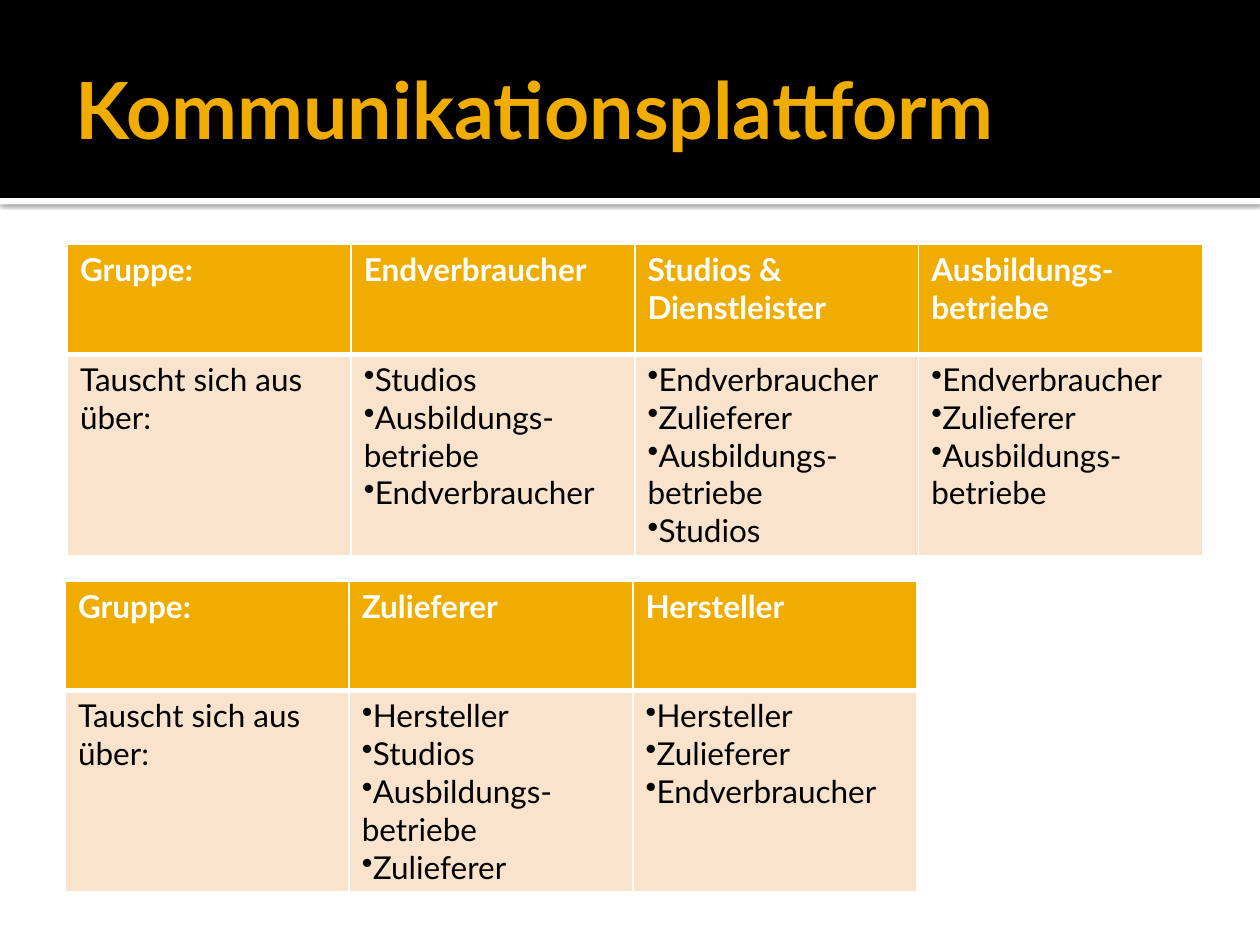
from dataclasses import dataclass

from lxml.etree import SubElement
from pptx import Presentation
from pptx.dml.color import RGBColor as Rgb
from pptx.enum.shapes import MSO_SHAPE as Shape
from pptx.enum.text import MSO_ANCHOR as Anchor
from pptx.oxml import parse_xml
from pptx.oxml.ns import nsdecls, qn
from pptx.util import Cm, Pt

TITLE = "Kommunikationsplattform"
LABEL = ("Gruppe:", "Tauscht sich aus über:")
TRAINING = "Ausbildungs-betriebe"

# Each table: left and top in cm, then its groups with their exchange partners.
TABLES = [
    (1.36, 4.93, [
        ("Endverbraucher", ["Studios", TRAINING, "Endverbraucher"]),
        ("Studios & Dienstleister",
         ["Endverbraucher", "Zulieferer", TRAINING, "Studios"]),
        (TRAINING, ["Endverbraucher", "Zulieferer", TRAINING]),
    ]),
    (1.32, 11.71, [
        ("Zulieferer", ["Hersteller", "Studios", TRAINING, "Zulieferer"]),
        ("Hersteller", ["Hersteller", "Zulieferer", "Endverbraucher"]),
    ]),
]

PAGE_WIDTH, PAGE_HEIGHT = 25.4, 19.05
BANNER_HEIGHT, STRIPE_HEIGHT = 3.99, 0.13
COLUMN_WIDTH = 5.72
ROW_HEIGHTS = (2.21, 4.06)


@dataclass(frozen=True)
class Theme:
    font: str = "Lato"
    accent: str = "F0AD00"
    tint: str = "F9E3CC"
    dark: str = "000000"
    light: str = "FFFFFF"
    title_size: int = 45
    cell_size: int = 18
    thin: int = 1
    thick: int = 3


THEME = Theme()


def write(frame, lines, size, color, bold=False, bullet=None):
    for index, line in enumerate(lines):
        para = frame.paragraphs[0] if index == 0 else frame.add_paragraph()
        if bullet:
            SubElement(para._p.get_or_add_pPr(), qn("a:buChar"), char=bullet)
        span = para.add_run()
        span.text = line
        span.font.name = THEME.font
        span.font.size = Pt(size)
        span.font.bold = bold
        span.font.color.rgb = Rgb.from_string(color)


def add_band(page, top, height, color):
    band = page.shapes.add_shape(
        Shape.RECTANGLE, 0, Cm(top), Cm(PAGE_WIDTH), Cm(height))
    band.shadow.inherit = False
    band.fill.solid()
    band.fill.fore_color.rgb = Rgb.from_string(color)
    band.line.fill.background()
    return band


def add_shadow(shape):
    effects = shape._element.spPr.find(qn("a:effectLst"))
    effects.append(parse_xml(
        f'<a:outerShdw {nsdecls("a")} blurRad="{Pt(2.5)}" dist="{Pt(0.8)}" '
        f'dir="5400000" rotWithShape="0"><a:srgbClr val="{THEME.dark}">'
        '<a:alpha val="60000"/></a:srgbClr></a:outerShdw>'))


def style_cell(cell, fill, top, bottom):
    """Fill the cell and rule it in white; top and bottom are widths in points."""
    widths = {"lnL": THEME.thin, "lnR": THEME.thin, "lnT": top, "lnB": bottom}
    properties = cell._tc.get_or_add_tcPr()
    for index, (side, width) in enumerate(widths.items()):
        properties.insert(index, parse_xml(
            f'<a:{side} {nsdecls("a")} w="{Pt(width)}"><a:solidFill>'
            f'<a:srgbClr val="{THEME.light}"/></a:solidFill></a:{side}>'))
    cell.fill.solid()
    cell.fill.fore_color.rgb = Rgb.from_string(fill)


def add_group_table(page, left, top, groups):
    columns = len(groups) + 1
    table = page.shapes.add_table(
        2, columns, Cm(left), Cm(top),
        Cm(columns * COLUMN_WIDTH), Cm(sum(ROW_HEIGHTS))).table
    for row, height in zip(table.rows, ROW_HEIGHTS):
        row.height = Cm(height)
    heading, caption = LABEL
    for index, (name, partners) in enumerate([(heading, [caption]), *groups]):
        table.columns[index].width = Cm(COLUMN_WIDTH)
        head, body = table.cell(0, index), table.cell(1, index)
        style_cell(head, THEME.accent, THEME.thin, THEME.thick)
        style_cell(body, THEME.tint, THEME.thick, THEME.thin)
        write(head.text_frame, [name], THEME.cell_size, THEME.light, bold=True)
        write(body.text_frame, partners, THEME.cell_size, THEME.dark,
              bullet="•" if index else None)


def add_title(page):
    box = page.shapes.add_textbox(Cm(1.27), Cm(0.43), Cm(22.86), Cm(3.48))
    frame = box.text_frame
    frame.word_wrap = True
    frame.vertical_anchor = Anchor.MIDDLE
    frame.margin_right = Cm(0.13)
    write(frame, [TITLE], THEME.title_size, THEME.accent, bold=True)


def main():
    deck = Presentation()
    deck.slide_width, deck.slide_height = Cm(PAGE_WIDTH), Cm(PAGE_HEIGHT)
    page = deck.slides.add_slide(deck.slide_layouts[6])
    add_shadow(add_band(page, BANNER_HEIGHT, STRIPE_HEIGHT, THEME.light))
    add_band(page, 0, BANNER_HEIGHT, THEME.dark)
    add_title(page)
    for left, top, groups in TABLES:
        add_group_table(page, left, top, groups)
    deck.save("out.pptx")


if __name__ == "__main__":
    main()
